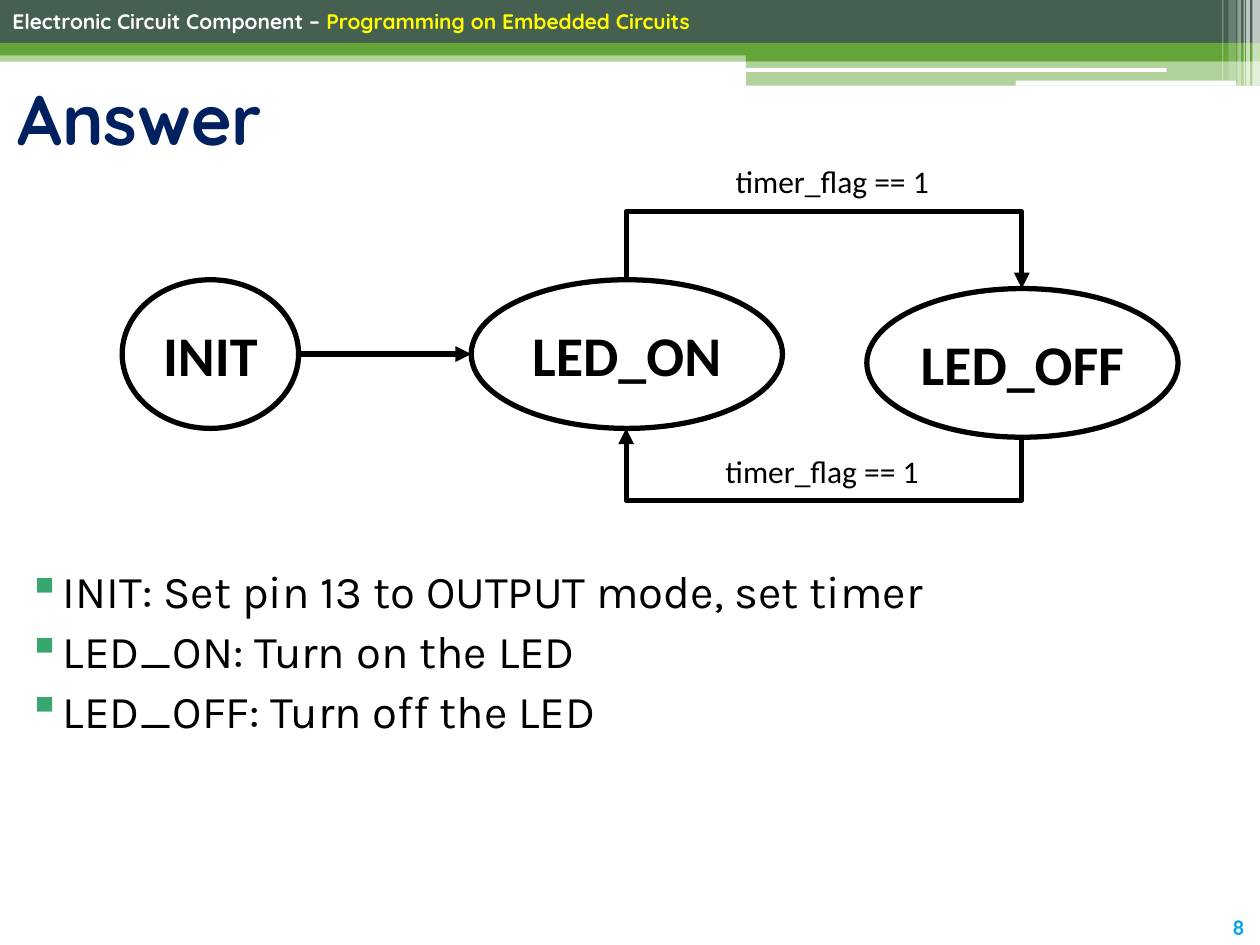
from pptx import Presentation
from pptx.dml.color import RGBColor
from pptx.enum.shapes import MSO_CONNECTOR, MSO_SHAPE
from pptx.enum.text import MSO_ANCHOR, MSO_AUTO_SIZE, PP_ALIGN
from pptx.oxml.ns import qn
from pptx.util import Inches, Pt
from lxml.etree import SubElement

WHITE = RGBColor(0xFF, 0xFF, 0xFF)
BLACK = RGBColor(0, 0, 0)
YELLOW = RGBColor(0xFF, 0xFF, 0)
GREEN = RGBColor(0x63, 0xA5, 0x37)
DARK_GREEN = RGBColor(0x45, 0x5F, 0x51)
BULLET_GREEN = RGBColor(0x37, 0xA7, 0x6F)
NAVY = RGBColor(0, 0x20, 0x60)
SKY_BLUE = RGBColor(0x08, 0xA5, 0xEF)

COLUMNS, ROWS = 100, 75


class StateSlide:
    heading_font = "Quicksand"
    body_font = "Karla"
    diagram_font = "Calibri"
    stroke = Pt(3)

    def __init__(self, deck):
        self.slide = deck.slides.add_slide(deck.slide_layouts[6])
        self.column = deck.slide_width / COLUMNS
        self.row = deck.slide_height / ROWS

    def place(self, left, top, width, height):
        return (round(left * self.column), round(top * self.row),
                round(width * self.column), round(height * self.row))

    def band(self, box, color, opacity=100, rounded=False):
        preset = MSO_SHAPE.ROUNDED_RECTANGLE if rounded else MSO_SHAPE.RECTANGLE
        band = self.slide.shapes.add_shape(preset, *self.place(*box))
        band.shadow.inherit = False
        band.line.fill.background()
        band.fill.solid()
        band.fill.fore_color.rgb = color
        if opacity < 100:
            tint = band.fill._xPr.find(qn("a:solidFill"))[0]
            SubElement(tint, qn("a:alpha"), val=str(opacity * 1000))

    def style(self, paragraph, font, size, color=None, bold=None):
        paragraph.font.name = font
        paragraph.font.size = Pt(size)
        paragraph.font.bold = bold
        if color is not None:
            paragraph.font.color.rgb = color

    def text(self, box, parts, font, size, bold=None, align=None, wrap=False):
        frame = self.slide.shapes.add_textbox(*self.place(*box)).text_frame
        frame.word_wrap = wrap
        if wrap:
            frame.vertical_anchor = MSO_ANCHOR.MIDDLE
        else:
            frame.auto_size = MSO_AUTO_SIZE.SHAPE_TO_FIT_TEXT
        paragraph = frame.paragraphs[0]
        paragraph.alignment = align
        self.style(paragraph, font, size, bold=bold)
        for words, color in parts:
            run = paragraph.add_run()
            run.text = words
            run.font.color.rgb = color

    def bullets(self, box, items):
        frame = self.slide.shapes.add_textbox(*self.place(*box)).text_frame
        frame.word_wrap = True
        for index, item in enumerate(items):
            paragraph = frame.add_paragraph() if index else frame.paragraphs[0]
            paragraph.text = item
            paragraph.space_before = Pt(3)
            self.style(paragraph, self.body_font, 26, BLACK)
            properties = paragraph._p.get_or_add_pPr()
            properties.set("marL", str(Inches(0.4)))
            properties.set("indent", str(Inches(-0.28)))
            bullet_color = SubElement(properties, qn("a:buClr"))
            SubElement(bullet_color, qn("a:srgbClr"), val=str(BULLET_GREEN))
            SubElement(properties, qn("a:buChar"), char="▪")
            properties.append(properties.find(qn("a:defRPr")))

    def state(self, box, name, side_inset=0.1):
        state = self.slide.shapes.add_shape(MSO_SHAPE.OVAL, *self.place(*box))
        state.shadow.inherit = False
        state.fill.background()
        state.line.color.rgb = BLACK
        state.line.width = self.stroke
        frame = state.text_frame
        frame.margin_left = frame.margin_right = Inches(side_inset)
        frame.vertical_anchor = MSO_ANCHOR.MIDDLE
        paragraph = frame.paragraphs[0]
        paragraph.text = name
        paragraph.alignment = PP_ALIGN.CENTER
        self.style(paragraph, self.diagram_font, 32, BLACK, True)

    def arrow(self, start, end, kind=MSO_CONNECTOR.STRAIGHT):
        ends = self.place(*start, *end)
        arrow = self.slide.shapes.add_connector(kind, *ends)
        arrow.line.color.rgb = BLACK
        arrow.line.width = self.stroke
        SubElement(arrow.line._get_or_add_ln(), qn("a:tailEnd"), type="triangle")
        SubElement(arrow._element.spPr, qn("a:effectLst"))
        return arrow

    def loop(self, start, end, bend_row):
        middle_x, middle_y = ((a + b) / 2 for a, b in zip(start, end))
        half_span = abs(end[0] - start[0]) / 2
        half_drop = abs(end[1] - start[1]) / 2
        arrow = self.arrow((middle_x + half_drop, middle_y - half_span),
                           (middle_x - half_drop, middle_y + half_span),
                           MSO_CONNECTOR.ELBOW)
        properties = arrow._element.spPr
        turn = 270 if bend_row < start[1] else 90
        properties.find(qn("a:xfrm")).set("rot", str(turn * 60000))
        reach = -abs(bend_row - start[1]) / (2 * half_drop)
        guides = properties.find(qn("a:prstGeom")).get_or_add_avLst()
        SubElement(guides, qn("a:gd"), name="adj1", fmla=f"val {round(reach * 100000)}")


def main():
    deck = Presentation()
    deck.slide_width, deck.slide_height = Inches(10), Inches(7.5)
    page = StateSlide(deck)

    for box, color, opacity in [
        ((0, 4, 100, 0.9), GREEN, 50),
        ((0, 0, 100, 3.4), DARK_GREEN, 100),
        ((0, 3.4, 100, 1), GREEN, 100),
        ((59.2, 3.9, 40.8, 0.95), GREEN, 100),
        ((59.2, 4.85, 40.8, 1.95), GREEN, 50),
    ]:
        page.band(box, color, opacity)
    page.band((59.1, 5.4, 33.5, 0.3), WHITE, rounded=True)
    page.band((80.6, 6.4, 17.5, 0.4), WHITE, rounded=True)
    for left, width, height, opacity in [
        (99.4, 0.6, 6.8, 65), (98.9, 0.3, 6.8, 65), (98.7, 0.1, 6.8, 60),
        (98.2, 0.3, 6.8, 40), (97.5, 0.6, 6.4, 20), (97, 0.1, 6.4, 30),
    ]:
        page.band((left, 0, width, height), WHITE, opacity)

    course = [("Electronic Circuit Component – ", WHITE),
              ("Programming on Embedded Circuits", YELLOW)]
    page.text((0, 0.2, 57.3, 3), course, page.heading_font, 12, True)
    page.text((96.4, 72.1, 3.8, 3), [("8", SKY_BLUE)], page.heading_font, 12, True,
              PP_ALIGN.CENTER)
    page.bullets((0, 44.2, 98.5, 21.2), [
        "INIT: Set pin 13 to OUTPUT mode, set timer",
        "LED_ON: Turn on the LED",
        "LED_OFF: Turn off the LED",
    ])
    page.text((0.4, 5.2, 98.5, 8.2), [("Answer", NAVY)], page.heading_font, 40, True,
              wrap=True)

    state_height, on_top, off_top = 11.8, 22.2, 22.9
    on_middle, off_middle = 49.7, 81.1
    page.state((9.7, on_top, 14, state_height), "INIT")
    page.state((37.4, on_top, 24.7, state_height), "LED_ON")
    page.state((68.8, off_top, 24.7, state_height), "LED_OFF", 0)
    page.arrow((23.7, 28.1), (37.4, 28.1))
    page.loop((on_middle, on_top), (off_middle, off_top), 16.8)
    page.loop((off_middle, off_top + state_height), (on_middle, on_top + state_height), 39.7)
    for left, top in [(57.4, 12.4), (56.6, 35.4)]:
        page.text((left, top, 17.6, 4), [("timer_flag == 1", BLACK)], page.diagram_font, 18)

    deck.save("out.pptx")


if __name__ == "__main__":
    main()
